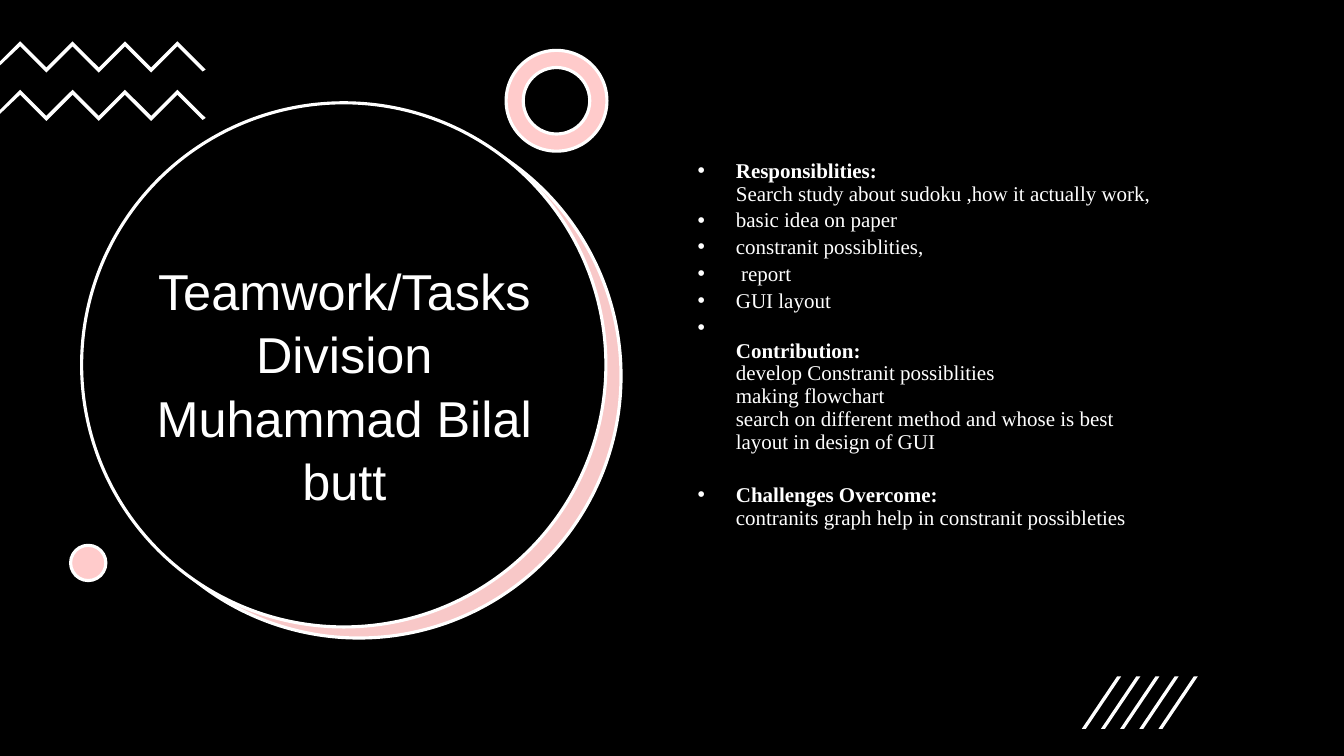
from copy import deepcopy
from lxml.etree import SubElement
from pptx import Presentation
from pptx.dml.color import RGBColor
from pptx.enum.shapes import MSO_SHAPE
from pptx.enum.text import MSO_ANCHOR, PP_ALIGN
from pptx.oxml.ns import qn
from pptx.util import Inches, Pt

BLACK = RGBColor(0x00, 0x00, 0x00)
WHITE = RGBColor(0xFF, 0xFF, 0xFF)
PINK = RGBColor(0xFF, 0xCB, 0xCB)
ROSE = RGBColor(0xF8, 0xC8, 0xC8)

deck = Presentation()
deck.slide_width = Inches(13.33)
deck.slide_height = Inches(7.5)
slide = deck.slides.add_slide(deck.slide_layouts[6])
slide.background.fill.solid()
slide.background.fill.fore_color.rgb = BLACK
shapes = slide.shapes


def write(para, text, font="Arial", size=15, bold=False):
    for index, line in enumerate(text.split("\n")):
        if index:
            para.add_line_break()
        run = para.add_run()
        run.text = line
        run.font.name = font
        run.font.size = Pt(size)
        run.font.bold = bold
        run.font.color.rgb = WHITE
        if index:
            gap = run._r.getprevious()
            gap.append(deepcopy(run._r.rPr))


rounds = [
    (MSO_SHAPE.OVAL, 0.96, 1.13, 5.2, ROSE),
    (MSO_SHAPE.OVAL, 0.81, 1.02, 5.2, BLACK),
    (MSO_SHAPE.DONUT, 5.02, 0.5, 1, PINK),
    (MSO_SHAPE.OVAL, 0.7, 5.41, 0.35, PINK),
]
for kind, left, top, size, color in rounds:
    disc = shapes.add_shape(kind, Inches(left), Inches(top), Inches(size), Inches(size))
    disc.shadow.inherit = False
    disc.fill.solid()
    disc.fill.fore_color.rgb = color
    disc.line.color.rgb = WHITE
    disc.line.width = Pt(2.25)
    if kind == MSO_SHAPE.DONUT:
        disc.adjustments[0] = 0.17

marks = []
for top in (0.41, 0.89):
    peaks = [(0.2 + 0.26 * i, top + 0.26 * (i % 2)) for i in range(7)]
    lower = [(x, y + 0.05) for x, y in reversed(peaks)]
    ends = [(2.04, top + 0.28), (2.01, top + 0.3)]
    marks.append(peaks + ends + lower + [(0, top + 0.24), (0, top + 0.2)])
for i in range(5):
    left = 10.73 + 0.19 * i
    marks.append([(left + 0.04, 7.23), (left, 7.23), (left + 0.35, 6.71), (left + 0.39, 6.71)])

for points in marks:
    points = [(Inches(x), Inches(y)) for x, y in points]
    pen = shapes.build_freeform(*points[0])
    pen.add_line_segments(points[1:], close=True)
    mark = pen.convert_to_shape()
    mark.shadow.inherit = False
    mark.fill.solid()
    mark.fill.fore_color.rgb = WHITE
    mark.line.fill.background()

title = shapes.add_textbox(Inches(1.21), Inches(2.05), Inches(4.41), Inches(3.52)).text_frame
title.word_wrap = True
title.vertical_anchor = MSO_ANCHOR.MIDDLE
head = title.paragraphs[0]
head.alignment = PP_ALIGN.CENTER
head.line_spacing = 1.05
write(head, "Teamwork/Tasks Division\nMuhammad Bilal butt", size=36)

tasks = [
    (0, "Responsiblities:", "\nSearch study about sudoku ,how it actually work,"),
    (3, "", "basic idea on paper"),
    (3, "", "constranit possiblities,"),
    (3, "", " report"),
    (3, "", "GUI layout"),
    (3, "\nContribution:", "\ndevelop Constranit possiblities\nmaking flowchart\n"
        "search on different method and whose is best\nlayout in design of GUI"),
    (22, "Challenges Overcome:", "\ncontranits graph help in constranit possibleties"),
]
body = shapes.add_textbox(Inches(6.82), Inches(1.54), Inches(5.71), Inches(4.46)).text_frame
body.word_wrap = True
for index, (space, label, text) in enumerate(tasks):
    para = body.add_paragraph() if index else body.paragraphs[0]
    para.line_spacing = 0.9
    para.space_before = Pt(space)
    props = para._p.get_or_add_pPr()
    props.set("marL", str(Inches(0.38)))
    props.set("indent", str(-Inches(0.38)))
    tint = SubElement(props, qn("a:buClr"))
    SubElement(tint, qn("a:srgbClr")).set("val", str(WHITE))
    SubElement(props, qn("a:buFont")).set("typeface", "Arial")
    SubElement(props, qn("a:buChar")).set("char", "•")
    if label:
        write(para, label, font="Times New Roman", bold=True)
    write(para, text, font="Times New Roman")

deck.save("out.pptx")
